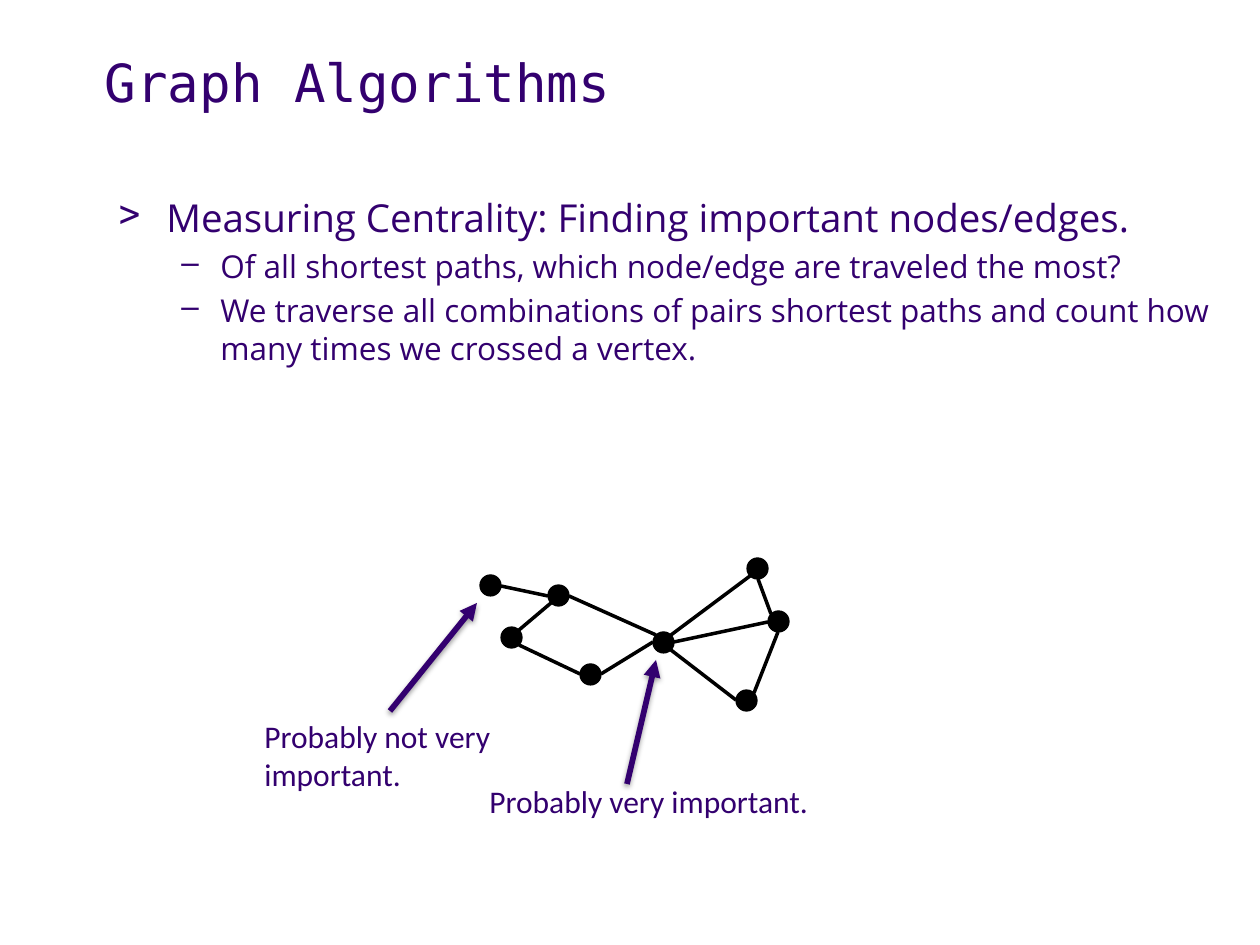
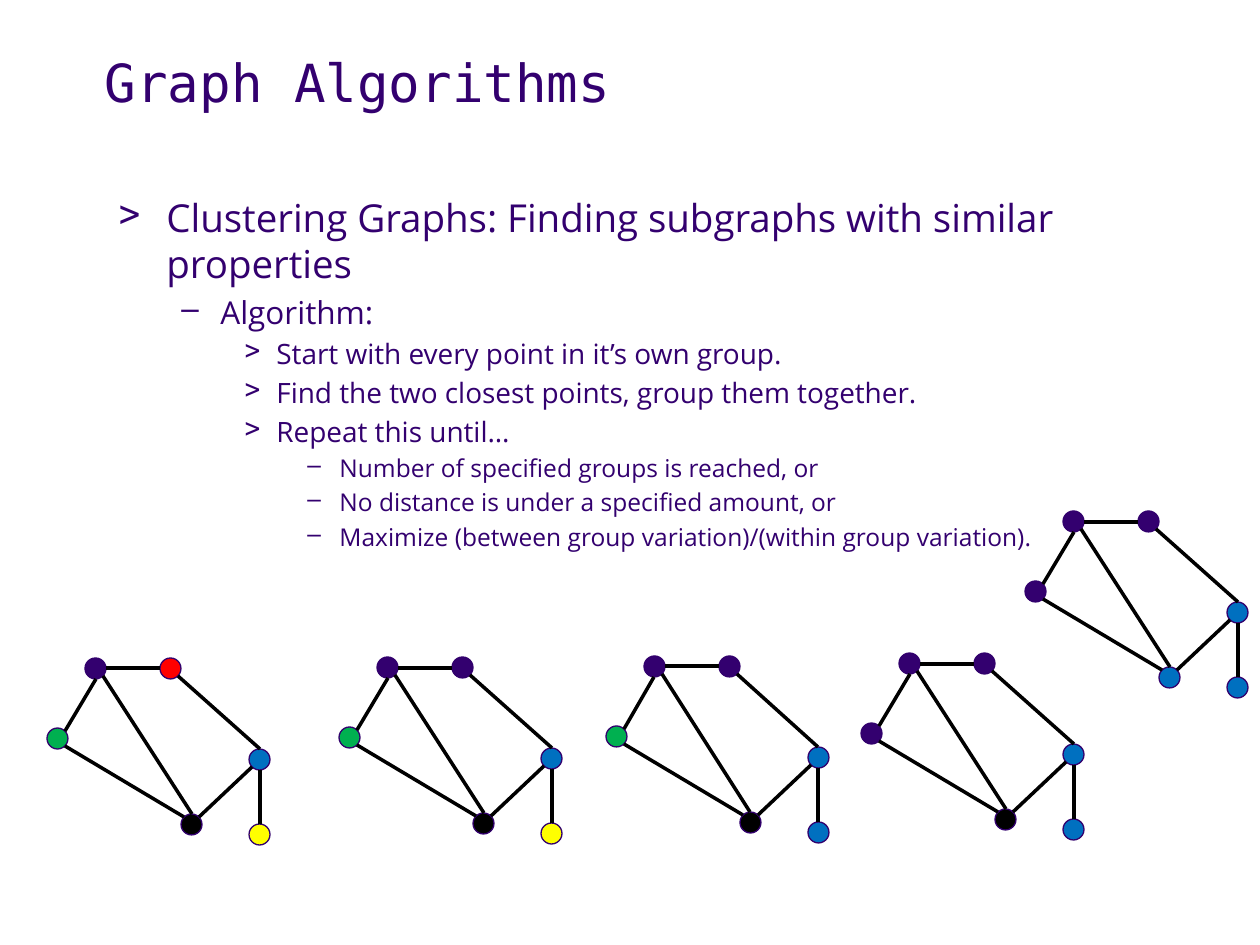
from enum import Enum
from typing import NamedTuple

from lxml.etree import SubElement
from pptx import Presentation
from pptx.dml.color import RGBColor
from pptx.enum.shapes import MSO_CONNECTOR as Connector, MSO_SHAPE as Preset
from pptx.enum.text import MSO_ANCHOR as Anchor, MSO_AUTO_SIZE as AutoSize, PP_ALIGN as Align
from pptx.oxml.ns import qn
from pptx.util import Emu, Pt

PX_PER_INCH = 126
NODE_SIZE = 21

PURPLE = RGBColor(0x33, 0x00, 0x6F)
NODE_EDGE = RGBColor(0x32, 0x00, 0x6D)
BLACK = RGBColor(0x00, 0x00, 0x00)
GREEN = RGBColor(0x00, 0xB0, 0x50)
RED = RGBColor(0xFF, 0x00, 0x00)
BLUE = RGBColor(0x00, 0x70, 0xC0)
YELLOW = RGBColor(0xFF, 0xFF, 0x00)

TITLE_FONT = {"name": "DejaVu Sans Mono", "size": Pt(30), "bold": False}
CAPTION_FONT = {"name": "Calibri", "size": Pt(18)}


class Box(NamedTuple):
    left: int
    top: int
    width: int
    height: int


class Level(NamedTuple):
    size: int
    margin: int
    hang: int
    bullet: str


class Item(NamedTuple):
    level: int
    text: str


class Point(NamedTuple):
    x: int
    y: int


class Site(Enum):
    """Direction from a node's centre to a place on its rim."""
    TOP = (0, -1)
    TOP_LEFT = (-0.7, -0.7)
    LEFT = (-1, 0)
    BOTTOM_LEFT = (-0.7, 0.7)
    BOTTOM = (0, 1)
    BOTTOM_RIGHT = (0.7, 0.7)
    RIGHT = (1, 0)
    TOP_RIGHT = (0.7, -0.7)


class Edge(NamedTuple):
    start: str
    start_site: Site
    end: str
    end_site: Site


class Callout(NamedTuple):
    text: str
    box: Box
    tail: Point
    tip: Point


class Cluster(NamedTuple):
    origin: Point
    colors: dict[str, RGBColor]


LEVELS = [
    Level(22, 48, 48, ">"),
    Level(18, 102, 39, "–"),
    Level(16, 158, 32, ">"),
    Level(14, 221, 32, "–"),
]
TITLE_BOX = Box(92, 51, 1128, 136)

CENTRALITY_ITEMS = [
    Item(0, "Measuring Centrality: Finding important nodes/edges."),
    Item(1, "Of all shortest paths, which node/edge are traveled the most?"),
    Item(1, "We traverse all combinations of pairs shortest paths and count how "
            "many times we crossed a vertex."),
]
CENTRALITY_NODES = {
    "tip": Point(480, 575), "inner": Point(548, 585), "west": Point(501, 627),
    "south": Point(580, 664), "hub": Point(653, 632), "north": Point(747, 558),
    "east": Point(768, 611), "low": Point(736, 690),
}
CENTRALITY_EDGES = [
    Edge("north", Site.BOTTOM_LEFT, "hub", Site.TOP_RIGHT),
    Edge("north", Site.BOTTOM, "east", Site.TOP_LEFT),
    Edge("east", Site.LEFT, "hub", Site.RIGHT),
    Edge("low", Site.LEFT, "hub", Site.BOTTOM_RIGHT),
    Edge("east", Site.BOTTOM, "low", Site.TOP_RIGHT),
    Edge("hub", Site.TOP_LEFT, "inner", Site.RIGHT),
    Edge("hub", Site.LEFT, "south", Site.RIGHT),
    Edge("south", Site.LEFT, "west", Site.BOTTOM_RIGHT),
    Edge("inner", Site.LEFT, "tip", Site.RIGHT),
    Edge("inner", Site.BOTTOM_LEFT, "west", Site.TOP_RIGHT),
]
CALLOUTS = [
    Callout("Probably very important.", Box(477, 776, 387, 50), Point(627, 784), Point(656, 660)),
    Callout("Probably not very important.", Box(252, 711, 277, 89), Point(390, 711), Point(477, 603)),
]

CLUSTERING_ITEMS = [
    Item(0, "Clustering Graphs: Finding subgraphs with similar properties"),
    Item(1, "Algorithm:"),
    Item(2, "Start with every point in it’s own group."),
    Item(2, "Find the two closest points, group them together."),
    Item(2, "Repeat this until…"),
    Item(3, "Number of specified groups is reached, or"),
    Item(3, "No distance is under a specified amount, or"),
    Item(3, "Maximize (between group variation)/(within group variation)."),
]
CLUSTER_NODES = {
    "corner": Point(38, 0), "west": Point(0, 70), "north": Point(113, 0),
    "east": Point(202, 91), "tail": Point(202, 166), "south": Point(134, 156),
}
CLUSTER_EDGES = [
    Edge("corner", Site.BOTTOM, "west", Site.TOP_RIGHT),
    Edge("north", Site.LEFT, "corner", Site.RIGHT),
    Edge("south", Site.TOP_LEFT, "west", Site.BOTTOM_RIGHT),
    Edge("corner", Site.BOTTOM_RIGHT, "south", Site.TOP),
    Edge("east", Site.TOP, "north", Site.BOTTOM_RIGHT),
    Edge("east", Site.BOTTOM_LEFT, "south", Site.TOP_RIGHT),
    Edge("east", Site.BOTTOM, "tail", Site.TOP),
]
# Each stage merges one more node into a neighbour's group.
SEPARATE = {"corner": PURPLE, "west": GREEN, "north": RED,
            "east": BLUE, "tail": YELLOW, "south": BLACK}
NORTH_MERGED = SEPARATE | {"north": PURPLE}
TAIL_MERGED = NORTH_MERGED | {"tail": BLUE}
WEST_MERGED = TAIL_MERGED | {"west": PURPLE}
TWO_GROUPS = WEST_MERGED | {"south": BLUE}
CLUSTERS = [
    Cluster(Point(47, 658), SEPARATE),
    Cluster(Point(339, 657), NORTH_MERGED),
    Cluster(Point(606, 656), TAIL_MERGED),
    Cluster(Point(861, 653), WEST_MERGED),
    Cluster(Point(1025, 511), TWO_GROUPS),
]


def px(length: float) -> Emu:
    return Emu(round(length * 914400 / PX_PER_INCH))


def scaled(lengths) -> list[Emu]:
    return [px(length) for length in lengths]


def write(para, text: str, font: dict) -> None:
    span = para.add_run()
    span.text = text
    for name, value in font.items():
        setattr(span.font, name, value)
    span.font.color.rgb = PURPLE


def add_page(deck, items: list[Item], body_height: int):
    """Add a slide with the shared title and a bulleted body."""
    page = deck.slides.add_slide(deck.slide_layouts[5])
    title = page.shapes.title
    title.left, title.top, title.width, title.height = scaled(TITLE_BOX)
    frame = title.text_frame
    frame.auto_size = AutoSize.NONE
    frame.vertical_anchor = Anchor.TOP
    para = frame.paragraphs[0]
    para.alignment = Align.LEFT
    para.line_spacing = 0.9
    write(para, "Graph Algorithms", TITLE_FONT)

    frame = page.shapes.add_textbox(*scaled(Box(106, 188, 1129, body_height))).text_frame
    frame.word_wrap = True
    for index, item in enumerate(items):
        para = frame.add_paragraph() if index else frame.paragraphs[0]
        add_bullet(para, item, first=index == 0)
    return page


def add_bullet(para, item: Item, first: bool) -> None:
    level = LEVELS[item.level]
    para.level = item.level
    if not first:
        para.space_before = Pt(level.size * 0.2)
    properties = para._p.get_or_add_pPr()
    properties.set("marL", str(px(level.margin)))
    properties.set("indent", str(px(-level.hang)))
    SubElement(properties, qn("a:buChar"), char=level.bullet)
    write(para, item.text, {"name": "Open Sans", "size": Pt(level.size)})


def add_line(page, start: Point, end: Point, color: RGBColor, weight: float):
    """Add a straight line and return it with its empty effect list."""
    line = page.shapes.add_connector(Connector.STRAIGHT, *scaled((*start, *end)))
    line.line.color.rgb = color
    line.line.width = Pt(weight)
    return line, SubElement(line._element.spPr, qn("a:effectLst"))


def add_node(page, corner: Point, fill: RGBColor, outline: RGBColor) -> None:
    node = page.shapes.add_shape(Preset.OVAL, *scaled(Box(*corner, NODE_SIZE, NODE_SIZE)))
    node.shadow.inherit = False
    node.fill.solid()
    node.fill.fore_color.rgb = fill
    node.line.color.rgb = outline
    node.line.width = Pt(0.75)


def rim_point(corner: Point, site: Site) -> Point:
    radius = NODE_SIZE / 2
    across, down = site.value
    return Point(round(corner.x + radius + radius * across),
                 round(corner.y + radius + radius * down))


def add_graph(page, origin: Point, nodes: dict[str, Point], edges: list[Edge],
              colors: dict[str, RGBColor], outline: RGBColor) -> None:
    corners = {name: Point(origin.x + place.x, origin.y + place.y)
               for name, place in nodes.items()}
    for name, corner in corners.items():
        add_node(page, corner, colors[name], outline)
    for edge in edges:
        add_line(page, rim_point(corners[edge.start], edge.start_site),
                 rim_point(corners[edge.end], edge.end_site), BLACK, 2)


def add_callout(page, callout: Callout) -> None:
    arrow, effects = add_line(page, callout.tail, callout.tip, PURPLE, 3.25)
    SubElement(arrow.line._get_or_add_ln(), qn("a:tailEnd"), type="triangle")
    shadow = SubElement(effects, qn("a:outerShdw"), blurRad=str(Pt(3.1)), dist=str(Pt(1.6)),
                        dir="5400000", rotWithShape="0")
    shade = SubElement(shadow, qn("a:srgbClr"), val=str(BLACK))
    SubElement(shade, qn("a:alpha"), val="38000")
    frame = page.shapes.add_textbox(*scaled(callout.box)).text_frame
    frame.word_wrap = True
    frame.auto_size = AutoSize.SHAPE_TO_FIT_TEXT
    write(frame.paragraphs[0], callout.text, CAPTION_FONT)


def main() -> None:
    deck = Presentation()
    deck.slide_width, deck.slide_height = scaled((1260, 945))

    page = add_page(deck, CENTRALITY_ITEMS, 197)
    add_graph(page, Point(0, 0), CENTRALITY_NODES, CENTRALITY_EDGES,
              dict.fromkeys(CENTRALITY_NODES, BLACK), BLACK)
    for callout in CALLOUTS:
        add_callout(page, callout)

    page = add_page(deck, CLUSTERING_ITEMS, 355)
    for cluster in CLUSTERS:
        add_graph(page, cluster.origin, CLUSTER_NODES, CLUSTER_EDGES, cluster.colors, NODE_EDGE)

    deck.save("out.pptx")


if __name__ == "__main__":
    main()
